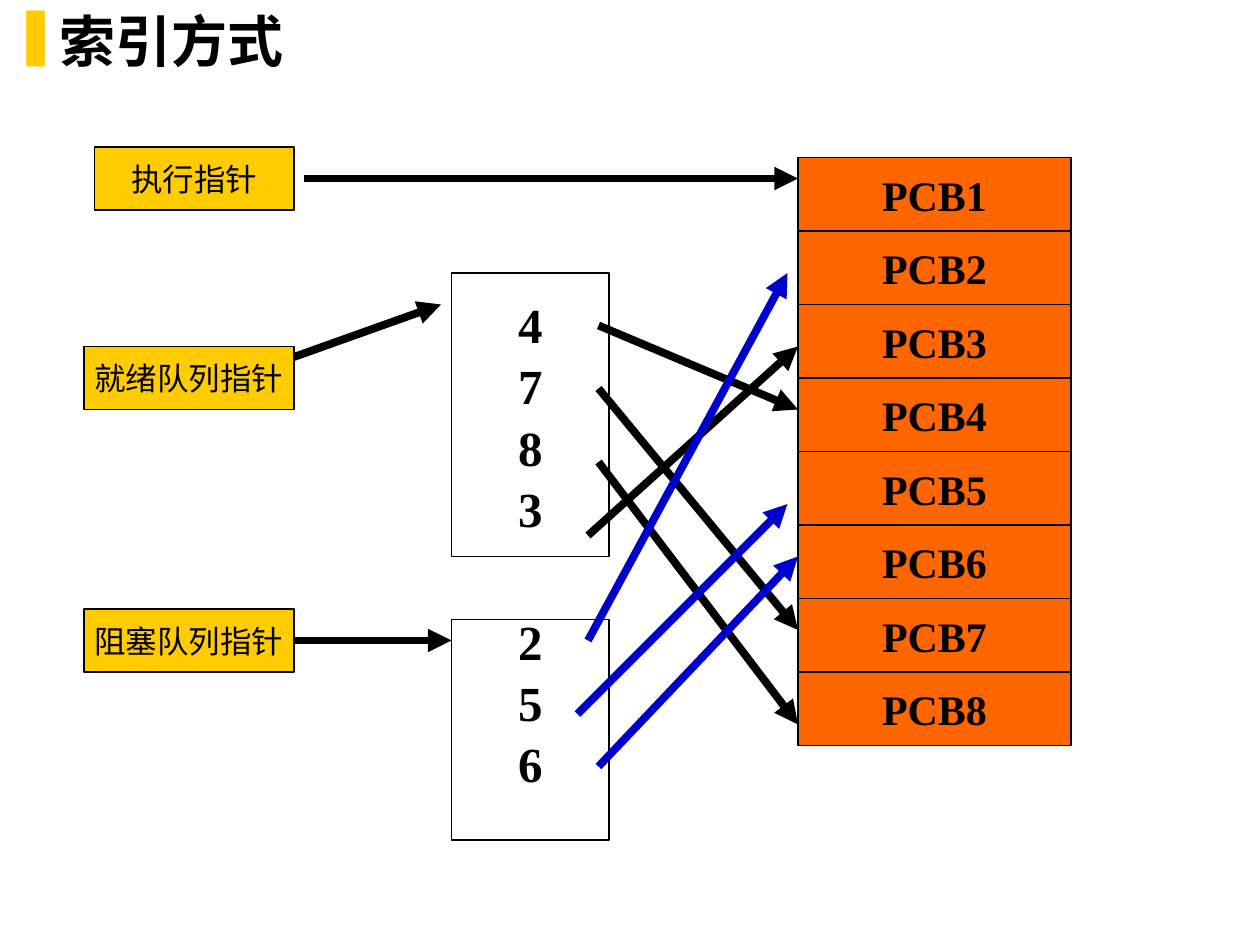
import pptx
import pptx.dml.color
import pptx.enum.shapes
import pptx.enum.text
import pptx.oxml.ns
import pptx.util
from lxml import etree

COLOURS = {
    "ink": "000000",
    "paper": "FFFFFF",
    "pointer": "FFCC00",
    "block": "FF6600",
    "blocked": "0000CC",
}
SERIF = "Times New Roman"
qn = pptx.oxml.ns.qn


def grid(count):
    """Length of a number of grid steps, twelve steps to the inch."""
    return pptx.util.Cm(count * 2.54 / 12)


def colour(name):
    return pptx.dml.color.RGBColor.from_string(COLOURS[name])


def style_font(font, size, name, bold):
    font.size = pptx.util.Pt(size)
    font.name = name
    font.bold = bold
    font.color.rgb = colour("ink")


def add_box(page, area, fill, lines, size, bold=True, spacing=None):
    """Outlined rectangle with one centred paragraph for each line."""
    box = page.shapes.add_shape(
        pptx.enum.shapes.MSO_SHAPE.RECTANGLE, *map(grid, area))
    box.shadow.inherit = False
    box.fill.solid()
    box.fill.fore_color.rgb = colour(fill)
    box.line.color.rgb = colour("ink")
    box.line.width = pptx.util.Pt(0.75)
    frame = box.text_frame
    frame.word_wrap = False
    frame.vertical_anchor = pptx.enum.text.MSO_ANCHOR.MIDDLE
    for index, line in enumerate(lines):
        para = frame.add_paragraph() if index else frame.paragraphs[0]
        para.text = line
        para.alignment = pptx.enum.text.PP_ALIGN.CENTER
        para.line_spacing = spacing
        style_font(para.font, size, SERIF, bold)
    return box


def add_arrow(page, start, end, ink="ink"):
    arrow = page.shapes.add_connector(
        pptx.enum.shapes.MSO_CONNECTOR.STRAIGHT, *map(grid, start + end))
    arrow.line.color.rgb = colour(ink)
    arrow.line.width = pptx.util.Pt(4.5)
    etree.SubElement(arrow.line._get_or_add_ln(), qn("a:tailEnd"), type="triangle")
    etree.SubElement(arrow._element.spPr, qn("a:effectLst"))
    return arrow


def add_title(page, left, top, width, height):
    box = page.shapes.add_textbox(*map(grid, (left, top, width, height)))
    box.text_frame.word_wrap = True
    para = box.text_frame.paragraphs[0]
    para.text = "索引方式"
    properties = para._p.get_or_add_pPr()
    indent = pptx.util.Cm(0.95)
    properties.set("marL", str(indent))
    properties.set("indent", str(-indent))
    bullet_colour = etree.SubElement(properties, qn("a:buClr"))
    etree.SubElement(bullet_colour, qn("a:srgbClr"), val=COLOURS["pointer"])
    etree.SubElement(properties, qn("a:buChar"), char="❚")
    style_font(para.font, 32, "Roboto", True)


def add_blocks(page, left, top, width, height, count=8):
    """Stack of equally high process control blocks."""
    step = height / count
    for index in range(count):
        area = (left, top + index * step, width, step)
        add_box(page, area, "block", [f"PCB{index + 1}"], 24)


def add_pointers(page, left, top, width):
    """Pointer labels, each with its arrow to what it points at."""
    height = 6
    right = left + width
    add_box(page, (left + 1, top, width - 1, height), "pointer", ["执行指针"], 18, False)
    add_arrow(page, (right + 1, top + 3), (right + 48, top + 3))

    add_box(page, (left, top + 19, width, height), "pointer", ["就绪队列指针"], 18, False)
    add_arrow(page, (right, top + 20), (right + 14, top + 15))

    blocked = add_box(
        page, (left, top + 44, width, height), "pointer", ["阻塞队列指针"], 18, False)
    arrow = add_arrow(page, (right, top + 47), (right + 15, top + 47))
    arrow.begin_connect(blocked, 3)


def add_index(page, left, top, width, height, numbers, spare=0):
    """Index table of block numbers, with room for spare lines below."""
    box = add_box(page, (left, top, width, height), "paper", numbers, 28, spacing=1.04)
    if spare:
        box.text_frame.margin_top = 0
        box.text_frame.margin_bottom = pptx.util.Cm(1.18 * spare)


def add_links(page, left, top, links, ink):
    """Arrows from an index table's entries to their blocks."""
    for x1, y1, x2, y2 in links:
        add_arrow(page, (left + x1, top + y1), (left + x2, top + y2), ink)


def main():
    deck = pptx.Presentation()
    deck.slide_width, deck.slide_height = grid(120), grid(90)
    page = deck.slides.add_slide(deck.slide_layouts[6])
    add_title(page, 0, 0, 117, 11)
    add_blocks(page, 76, 15, 26, 56)
    add_pointers(page, 8, 14, 20)
    add_index(page, 43, 26, 15, 27, ["4", "7", "8", "3"])
    add_index(page, 43, 59, 15, 21, ["2", "5", "6"], spare=1)
    ready_links = [(14, 5, 33, 13), (14, 11, 33, 34), (14, 18, 33, 43), (13, 25, 33, 7)]
    blocked_links = [(13, 2, 32, -33), (12, 9, 32, -11), (14, 14, 33, -6)]
    add_links(page, 43, 26, ready_links, "ink")
    add_links(page, 43, 59, blocked_links, "blocked")
    deck.save("out.pptx")


if __name__ == "__main__":
    main()
